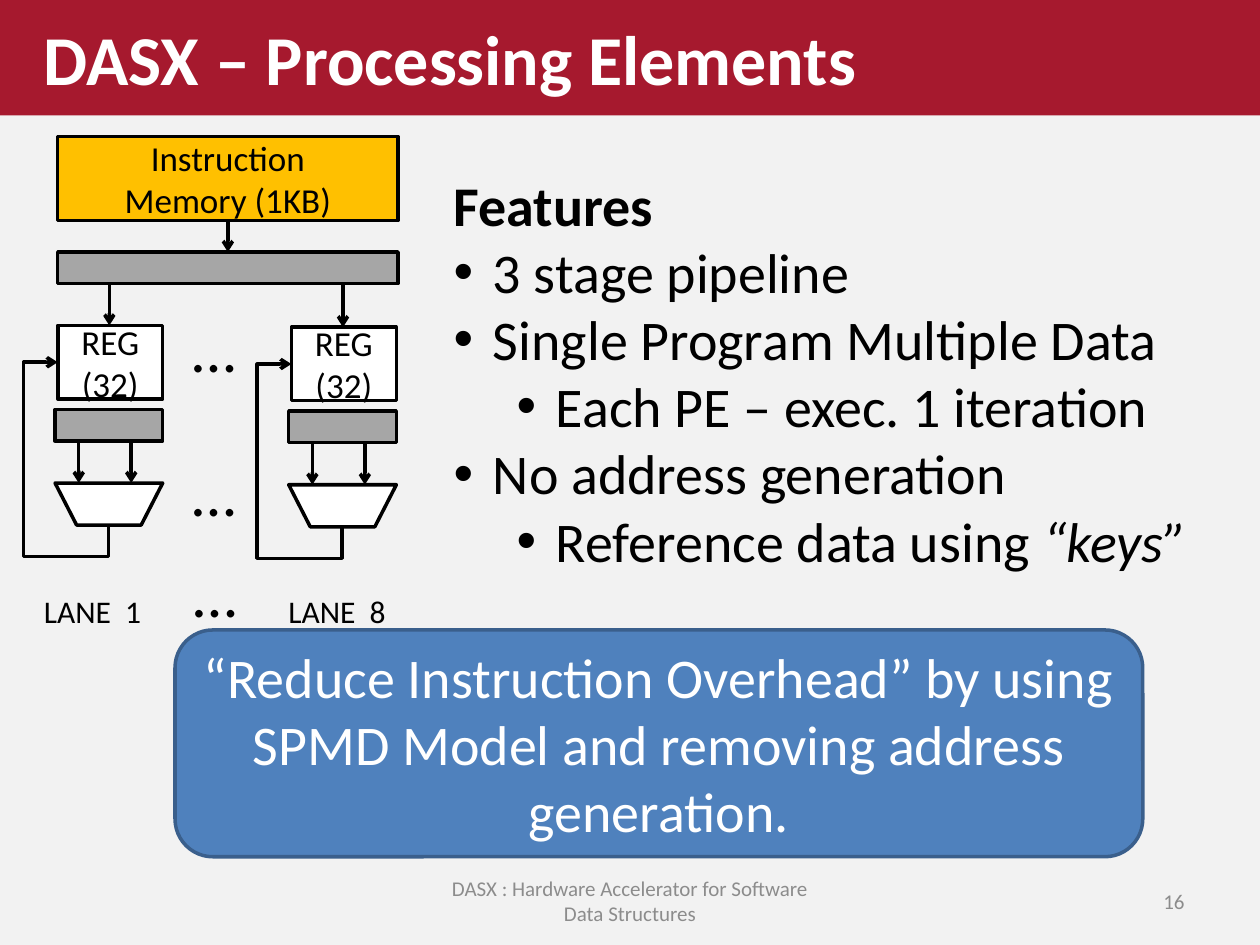
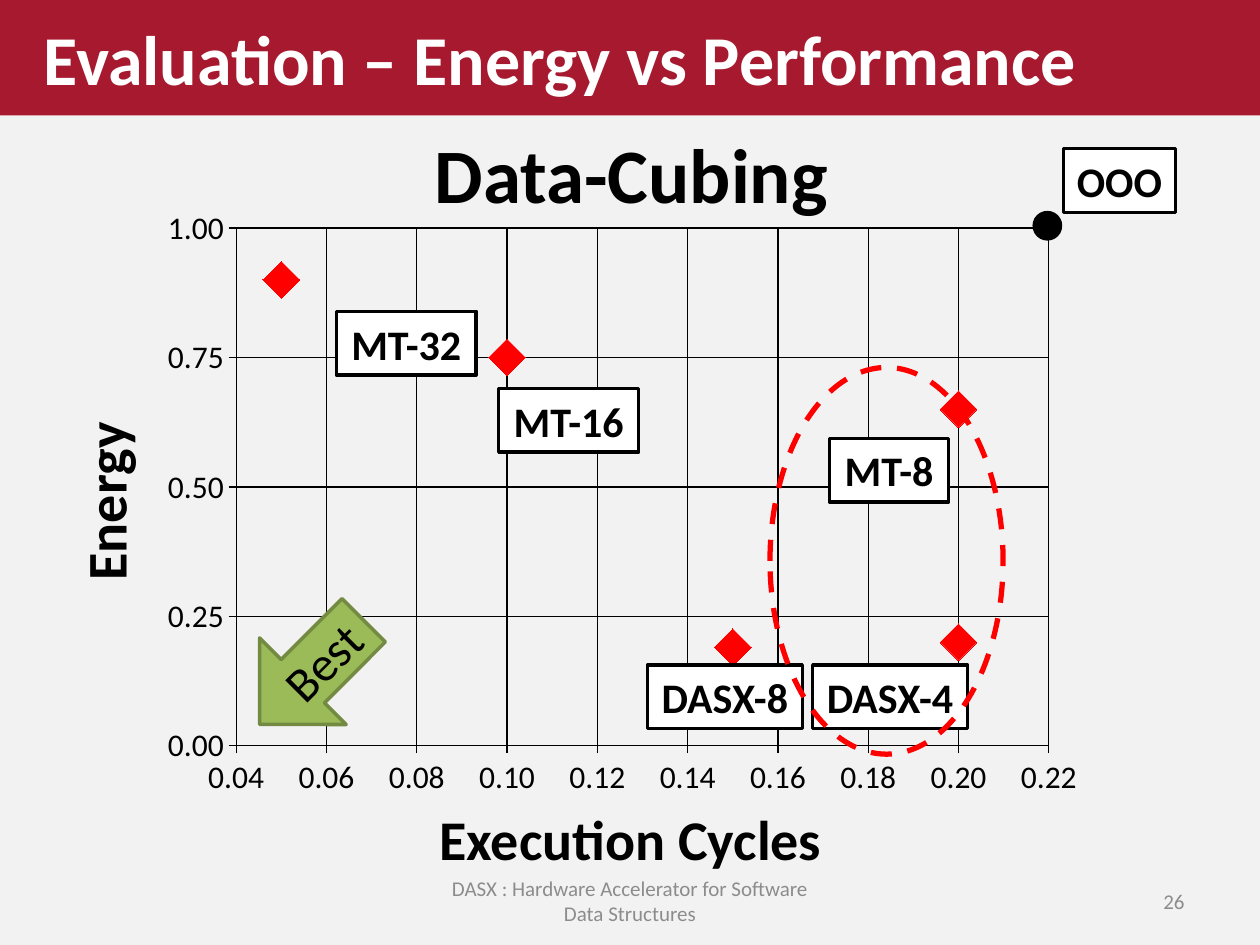
from lxml import etree
from pptx import Presentation
from pptx import util as u
from pptx.chart.data import XyChartData
from pptx.dml.color import RGBColor
from pptx.enum import chart as charts, dml, shapes, text
from pptx.oxml import ns, parse_xml

SHAPE = shapes.MSO_SHAPE
ALIGN = text.PP_ALIGN
Pt = u.Pt

BLACK, WHITE, PAPER = "000000", "FFFFFF", "F2F2F2"
CRIMSON, GOLD, GRAY, FOOTER_GRAY = "A6192E", "FFC000", "A6A6A6", "8C8C8C"
BLUE, NAVY, RED, GREEN, OLIVE = "4F81BD", "3A5F8C", "FF0000", "9BBB59", "738A42"

FOOTER = "DASX : Hardware Accelerator for Software Data Structures"
ELEMENTS_TITLE = "DASX – Processing Elements"
EVALUATION_TITLE = "Evaluation – Energy vs Performance"
FEATURES = [
    (None, "Features"),
    (0, "3 stage pipeline"),
    (0, "Single Program Multiple Data"),
    (1, "Each PE – exec. 1 iteration"),
    (0, "No address generation"),
    (1, "Reference data using *“keys”*"),
]
TAKEAWAY = ("“Reduce Instruction Overhead” by using SPMD Model "
            "and removing address generation.")
LANES = [
    ("LANE  1", 33, 186, 18),
    ("LANE  8", 166.5, 187, 157.7),
]
ELLIPSES = [(103, 173), (103, 255.5), (103.7, 313)]
POINTS = [(0.05, 0.9), (0.1, 0.75), (0.2, 0.65), (0.15, 0.19), (0.2, 0.2)]
PLOT_AREA = {"x": 0.09, "y": 0.05, "w": 0.86, "h": 0.85}
DESIGNS = [
    ("MT-32", 192.2, 178, 80),
    ("MT-16", 285, 222, 80),
    ("MT-8", 474, 250.5, 68),
    ("DASX-4", 464.4, 380, 88.5),
    ("DASX-8", 370, 380, 88.5),
    ("OOO", 607.7, 85, 64),
]


def rgb(color):
    return RGBColor.from_string(color)


def write(shape, words, size=20, color=BLACK, bold=False, align=ALIGN.LEFT,
          anchor=text.MSO_ANCHOR.MIDDLE, wrap=True):
    frame = shape.text_frame
    frame.auto_size = text.MSO_AUTO_SIZE.NONE
    frame.word_wrap = wrap
    frame.vertical_anchor = anchor
    for number, line in enumerate(words.split("\n")):
        paragraph = frame.add_paragraph() if number else frame.paragraphs[0]
        paragraph.alignment = align
        paragraph.space_before = Pt(0)
        for part, piece in enumerate(line.split("*")):
            if piece:
                run = paragraph.add_run()
                run.text = piece
                font = run.font
                font.name, font.size, font.bold = "Calibri", Pt(size), bold
                font.color.rgb = rgb(color)
                if part % 2:
                    font.italic = True
    return frame


def block(slide, kind, left, top, width, height, fill=None, line=BLACK, weight=2):
    shape = slide.shapes.add_shape(kind, *map(Pt, (left, top, width, height)))
    shape.shadow.inherit = False
    if fill:
        shape.fill.solid()
        shape.fill.fore_color.rgb = rgb(fill)
    else:
        shape.fill.background()
    shape.line.color.rgb = rgb(line)
    shape.line.width = Pt(weight)
    return shape


def label(slide, words, left, top, width, height, **form):
    box = slide.shapes.add_textbox(*map(Pt, (left, top, width, height)))
    write(box, words, **form)
    return box


def arrow(slide, x1, y1, x2, y2, kind=shapes.MSO_CONNECTOR.STRAIGHT):
    connector = slide.shapes.add_connector(kind, *map(Pt, (x1, y1, x2, y2)))
    connector.line.color.rgb = rgb(BLACK)
    connector.line.width = Pt(2)
    properties = connector.element.spPr
    etree.SubElement(properties.find(ns.qn("a:ln")), ns.qn("a:tailEnd"), type="arrow")
    etree.SubElement(properties, ns.qn("a:effectLst"))
    return connector


def feedback(slide, start_x, start_y, end_x, end_y, drop, outer_x):
    rise, run = start_y - end_y, start_x - end_x
    middle_x, middle_y = (start_x + end_x) / 2, (start_y + end_y) / 2
    loop = arrow(slide, middle_x + rise / 2, middle_y - run / 2,
                 middle_x - rise / 2, middle_y + run / 2, shapes.MSO_CONNECTOR.ELBOW)
    properties = loop.element.spPr
    properties.find(ns.qn("a:xfrm")).set("rot", "5400000")
    bend = properties.find(ns.qn("a:prstGeom"))
    bend.set("prst", "bentConnector4")
    for old in list(bend):
        bend.remove(old)
    guides = etree.SubElement(bend, ns.qn("a:avLst"))
    ratios = (-drop / rise, (start_x - outer_x) / run)
    for number, ratio in enumerate(ratios, 1):
        etree.SubElement(guides, ns.qn("a:gd"), name=f"adj{number}",
                         fmla=f"val {round(ratio * 100000)}")


def place(shape, left, top, width, height):
    shape.left, shape.top, shape.width, shape.height = map(Pt, (left, top, width, height))


def start_slide(deck, layout, title, number):
    slide = deck.slides.add_slide(deck.slide_layouts[layout])
    slide.background.fill.solid()
    slide.background.fill.fore_color.rgb = rgb(PAPER)
    band = slide.shapes.title
    place(band, 0, 0, 720, 66)
    band.fill.solid()
    band.fill.fore_color.rgb = rgb(CRIMSON)
    write(band, title, size=40, color=WHITE, bold=True).margin_left = Pt(25)
    label(slide, FOOTER, 246, 500.5, 228, 28.75, size=12, color=FOOTER_GRAY,
          align=ALIGN.CENTER)
    label(slide, str(number), 516, 500.5, 168, 28.75, size=12, color=FOOTER_GRAY,
          align=ALIGN.RIGHT)
    return slide


def draw_lane(slide, name, x, y, name_x):
    register = block(slide, SHAPE.RECTANGLE, x, y, 60, 42, WHITE)
    write(register, "REG\n(32)", align=ALIGN.CENTER)
    arrow(slide, x + 29.5, 162, x + 29.5, y)
    block(slide, SHAPE.RECTANGLE, x - 1.5, y + 48, 61.5, 18, GRAY)
    block(slide, SHAPE.FLOWCHART_MANUAL_OPERATION, x - 1.5, y + 90, 61.5, 24, WHITE)
    for operand in (12, 42):
        arrow(slide, x + operand, y + 66, x + operand, y + 90)
    feedback(slide, x + 29, y + 114, x, y + 21, 18, x - 19.5)
    label(slide, name, name_x, 334.5, 70.6, 29, size=18, wrap=False)


def list_features(body):
    place(body, 252, 93.6, 438, 240)
    frame = write(body, "\n".join(words for _, words in FEATURES), size=32,
                  anchor=text.MSO_ANCHOR.TOP, wrap=False)
    for paragraph, (level, _) in zip(frame.paragraphs, FEATURES):
        properties = paragraph._p.get_or_add_pPr()
        if level is None:
            paragraph.runs[0].font.bold = True
            margin, indent = 0, 0
            etree.SubElement(properties, ns.qn("a:buNone"))
        else:
            paragraph.level = level
            margin, indent = 22.5 + 36 * level, -22.5
            etree.SubElement(properties, ns.qn("a:buFont"), typeface="Arial")
            etree.SubElement(properties, ns.qn("a:buChar"), char="•")
        properties.set("marL", str(Pt(margin)))
        properties.set("indent", str(Pt(indent)))


def elements_slide(deck):
    slide = start_slide(deck, 1, ELEMENTS_TITLE, 16)
    memory = block(slide, SHAPE.RECTANGLE, 33, 78, 194.5, 48, GOLD)
    write(memory, "Instruction\nMemory (1KB)", align=ALIGN.CENTER)
    block(slide, SHAPE.RECTANGLE, 33, 144, 194.5, 18, GRAY)
    arrow(slide, 130.25, 126, 130.25, 144)
    for lane in LANES:
        draw_lane(slide, *lane)
    for x, y in ELLIPSES:
        label(slide, "…", x, y, 42, 51, size=36)
    list_features(slide.placeholders[1])
    takeaway = block(slide, SHAPE.ROUNDED_RECTANGLE, 100, 360, 553, 129.6, BLUE, NAVY)
    write(takeaway, TAKEAWAY, size=32, color=WHITE, align=ALIGN.CENTER)


def format_axis(axis, low, high, step, digits="#,##0.00"):
    axis.minimum_scale, axis.maximum_scale, axis.major_unit = low, high, step
    axis.has_title = False
    axis.has_major_gridlines = True
    axis.major_tick_mark = charts.XL_TICK_MARK.OUTSIDE
    axis.tick_labels.number_format = digits
    axis.tick_labels.number_format_is_linked = False
    for line in (axis.format.line, axis.major_gridlines.format.line):
        line.color.rgb = rgb(BLACK)
        line.width = Pt(0.75)


def draw_scatter(slide):
    data = XyChartData()
    designs = data.add_series("Series 1")
    for cycles, energy in POINTS:
        designs.add_data_point(cycles, energy)
    chart = slide.shapes.add_chart(charts.XL_CHART_TYPE.XY_SCATTER,
                                   *map(Pt, (86.4, 113, 540, 348)), data).chart
    chart.has_legend = chart.has_title = False
    chart.font.name, chart.font.size = "Calibri", Pt(18)
    chart.font.color.rgb = rgb(BLACK)
    format_axis(chart.category_axis, 0.04, 0.22, 0.02)
    format_axis(chart.value_axis, 0, 1, 0.25)
    plot = chart.plots[0]
    plot.vary_by_categories = False
    series = plot.series[0]
    series.smooth = False
    series.format.line.fill.background()
    series.marker.style = charts.XL_MARKER_STYLE.DIAMOND
    series.marker.size = 21
    series.marker.format.fill.solid()
    series.marker.format.fill.fore_color.rgb = rgb(RED)
    series.marker.format.line.color.rgb = rgb(RED)
    area = chart.element.xpath("c:chart/c:plotArea")[0]
    for old in area.findall(ns.qn("c:layout")):
        area.remove(old)
    sizes = "".join(f'<c:{side} val="{share}"/>' for side, share in PLOT_AREA.items())
    area.insert(0, parse_xml(
        f'<c:layout {ns.nsdecls("c")}><c:manualLayout><c:layoutTarget val="inner"/>'
        f'<c:xMode val="edge"/><c:yMode val="edge"/>{sizes}</c:manualLayout></c:layout>'))


def evaluation_slide(deck):
    slide = start_slide(deck, 5, EVALUATION_TITLE, 26)
    draw_scatter(slide)
    heading = {"bold": True, "wrap": False, "align": ALIGN.CENTER}
    label(slide, "Execution Cycles", 242.6, 456, 235.4, 46, size=32, **heading)
    energy = label(slide, "Energy", 6.5, 263.5, 106, 46, size=32, **heading)
    energy.rotation = 270
    label(slide, "Data-Cubing", 239.8, 68.4, 242, 60.5, size=44, **heading)
    block(slide, SHAPE.OVAL, 591, 121.5, 15, 15, BLACK)
    for name, x, y, width in DESIGNS:
        design = block(slide, SHAPE.RECTANGLE, x, y, width, 36.4, WHITE)
        write(design, name, size=24, **heading)
    group = block(slide, SHAPE.OVAL, 440, 210, 133.2, 221, line=RED, weight=3)
    group.line.dash_style = dml.MSO_LINE.DASH
    best = block(slide, SHAPE.LEFT_ARROW, 136, 349.2, 84.2, 70, GREEN, OLIVE)
    best.rotation = 315
    write(best, "Best", size=28, align=ALIGN.CENTER, wrap=False)


def main():
    deck = Presentation()
    deck.slide_width, deck.slide_height = Pt(720), Pt(540)
    elements_slide(deck)
    evaluation_slide(deck)
    deck.save("out.pptx")


if __name__ == "__main__":
    main()
